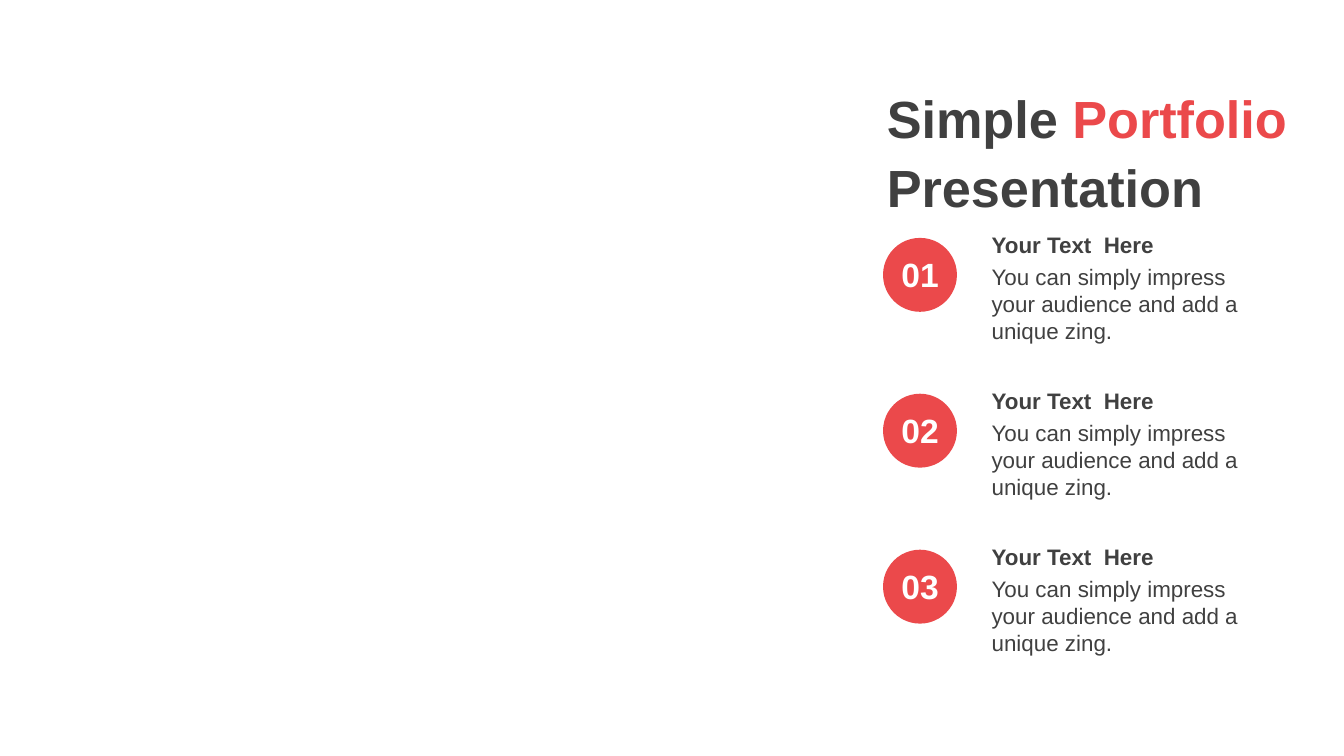
from pptx import Presentation
from pptx.dml.color import RGBColor
from pptx.enum.shapes import MSO_SHAPE
from pptx.enum.text import MSO_ANCHOR, PP_ALIGN
from pptx.util import Inches, Pt

RED = RGBColor(0xEB, 0x49, 0x4B)
GRAY = RGBColor(0x40, 0x40, 0x40)
WHITE = RGBColor(0xFF, 0xFF, 0xFF)

HEAD = "Your Text  Here"
BODY = "You can simply impress your audience and add a unique zing."
WIDTH = 10
TOP, STEP = 1.77, 1.16
LEFT, SIZE = 6.57, 0.55


def set_font(font, size, color, bold):
    font.name = "Arial"
    font.size = Pt(size)
    font.bold = bold
    font.color.rgb = color


def add_text(shapes, text, x, y, w, h, size=12, color=GRAY, bold=False):
    box = shapes.add_textbox(Inches(x), Inches(y), Inches(w), Inches(h))
    frame = box.text_frame
    frame.word_wrap = True
    para = frame.paragraphs[0]
    para.text = text
    set_font(para.font, size, color, bold)
    return frame


def add_title(shapes):
    frame = add_text(shapes, "", 6.5, 0.61, 3.23, 0.99, 28, GRAY, True)
    frame.vertical_anchor = MSO_ANCHOR.MIDDLE
    para = frame.paragraphs[0]
    para.line_spacing = 1.1
    para.space_before = Pt(5.6)
    for text, color in (("Simple ", GRAY), ("Portfolio ", RED),
                        ("Presentation", GRAY)):
        run = para.add_run()
        run.text = text
        set_font(run.font, 28, color, True)


def add_badge(shapes, label, y):
    disc = shapes.add_shape(MSO_SHAPE.OVAL, Inches(LEFT), Inches(y),
                            Inches(SIZE), Inches(SIZE))
    disc.shadow.inherit = False
    disc.fill.solid()
    disc.fill.fore_color.rgb = RED
    disc.line.fill.background()
    # Number over the disc
    frame = add_text(shapes, label, LEFT, y + 0.07, SIZE, 0.4, 18, WHITE, True)
    frame.vertical_anchor = MSO_ANCHOR.MIDDLE
    frame.paragraphs[0].alignment = PP_ALIGN.CENTER


def add_item(shapes, y):
    group = shapes.add_group_shape()
    add_text(group.shapes, BODY, 7.28, y + 0.14, 2.13, 0.71)
    add_text(group.shapes, HEAD, 7.28, y - 0.1, 2.13, 0.3, bold=True)


def main():
    # Wide page, 16 to 9
    deck = Presentation()
    deck.slide_width = Inches(WIDTH)
    deck.slide_height = Inches(WIDTH * 9 / 16)
    shapes = deck.slides.add_slide(deck.slide_layouts[6]).shapes

    # Numbered items
    for i in range(3):
        y = TOP + i * STEP
        add_badge(shapes, f"{i + 1:02d}", y)
        add_item(shapes, y)

    # Heading
    add_title(shapes)
    deck.save("out.pptx")


if __name__ == "__main__":
    main()
